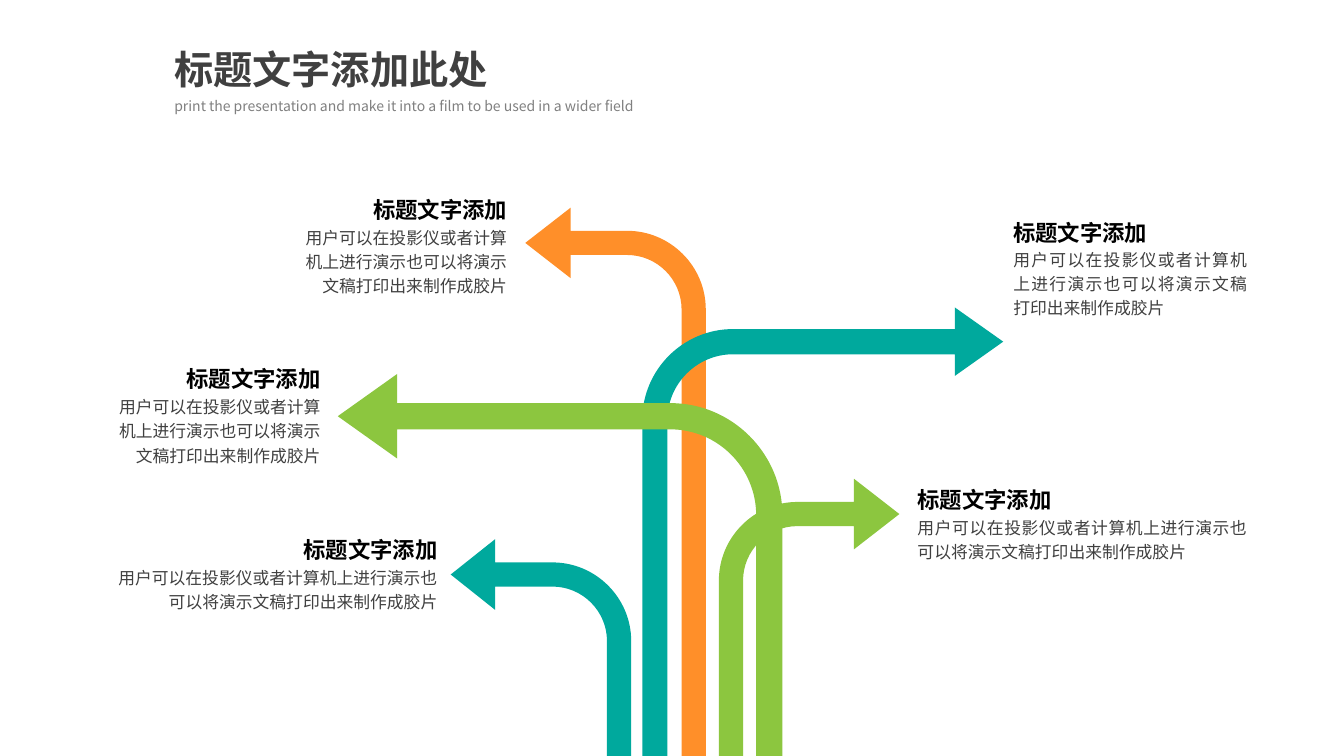
from lxml.etree import SubElement
from pptx import Presentation
from pptx.dml.color import RGBColor
from pptx.enum.text import MSO_AUTO_SIZE as AutoSize, PP_ALIGN as Align
from pptx.oxml.ns import qn
from pptx.util import Emu, Pt

PX = 9144
FONT = "Noto Sans CJK SC"
ORANGE, TEAL, GREEN = "FF8F29", "00A99D", "8CC63F"
BLACK, DARK, GRAY = "000000", "404040", "808080"
BOTTOM = 755
KAPPA = 0.55
HEADING = "标题文字添加"
BODY = "用户可以在投影仪或者计算机上进行演示也可以将演示文稿打印出来制作成胶片"

ARROWS = [
    (521, 241, 45, 35, 24, 700, 78, ORANGE),
    (447, 570, 44, 35, 24, 626, 78, TEAL),
    (995, 339, 48, 34, 25, 637, 90, TEAL),
    (335, 413, 59, 42, 26, 776, 111, GREEN),
    (892, 510, 45, 35, 24, 713, 78, GREEN),
]
CAPTIONS = [
    (905, 472, 337, 33, 62, Align.JUSTIFY),
    (1000, 207, 242, 32, 90, Align.JUSTIFY),
    (284, 184, 224, 33, 90, Align.RIGHT),
    (99, 352, 224, 33, 90, Align.RIGHT),
    (99, 522, 340, 32, 62, Align.RIGHT),
]


def px(n):
    """Turn px into EMU."""
    return Emu(round(n * PX))


def rgb(value):
    """Turn a hex string into a colour."""
    return RGBColor.from_string(value)


def add_text(group, box, text, size, color, bold=False, align=Align.LEFT, spacing=1.2):
    """Place one paragraph of text in a box."""
    tf = group.shapes.add_textbox(*map(px, box)).text_frame
    tf.word_wrap = True
    tf.auto_size = AutoSize.SHAPE_TO_FIT_TEXT
    tf.margin_left = tf.margin_right = tf.margin_top = tf.margin_bottom = px(5)
    tf.text = text
    p = tf.paragraphs[0]
    p.alignment = align
    p.line_spacing = spacing
    r = p.runs[0]
    r.font.name = FONT
    r.font.size = Pt(size)
    r.font.bold = bold
    r.font.color.rgb = rgb(color)
    SubElement(r.font._element, qn("a:ea")).set("typeface", FONT)


def add_title(s, x, y, w):
    """Place the slide title and its subtitle."""
    group = s.shapes.add_group_shape()
    add_text(group, (x, y, 360, 66), "标题文字添加此处", 28, DARK, True, spacing=1.0)
    add_text(group, (x, y + 49, w, 27),
             "print the presentation and make it into a film to be used in a wider field",
             10, GRAY)


def bend_lines(sp, first):
    """Merge three line segments, counted from first, into one cubic curve."""
    lines = list(sp._element.iter(qn("a:lnTo")))[first:first + 3]
    curve = lines[0].makeelement(qn("a:cubicBezTo"))
    lines[0].addprevious(curve)
    for line in lines:
        curve.append(line[0])
        line.getparent().remove(line)


def add_arrow(group, tip, y, head, half, thick, edge, radius, color):
    """Draw a stem that rises along its outer edge and bends to an arrowhead."""
    d = 1 if tip > edge else -1
    neck = tip - d * head
    cx, cy = edge + d * radius, y - thick / 2 + radius

    def arc(r):
        """List the ends and handles of a quarter turn from the top to the stem."""
        return [(cx, cy - r), (cx - d * r * KAPPA, cy - r),
                (cx - d * r, cy - r * KAPPA), (cx - d * r, cy)]

    points = [(neck, y - half), (tip, y), (neck, y + half), (neck, y + thick / 2),
              *arc(radius - thick), (edge + d * thick, BOTTOM), (edge, BOTTOM),
              *reversed(arc(radius)), (neck, y - thick / 2)]
    start, *rest = [(px(a), px(b)) for a, b in points]
    builder = group.shapes.build_freeform(*start)
    builder.add_line_segments(rest, close=True)
    sp = builder.convert_to_shape()
    bend_lines(sp, 10)
    bend_lines(sp, 4)
    sp.shadow.inherit = False
    sp.fill.solid()
    sp.fill.fore_color.rgb = rgb(color)
    sp.line.fill.background()


def add_arrows(s):
    """Draw all arrows in one group."""
    group = s.shapes.add_group_shape()
    for arrow in ARROWS:
        add_arrow(group, *arrow)


def add_caption(s, x, y, w, drop, body_h, align):
    """Place a heading over its body text, both on the aligned side."""
    group = s.shapes.add_group_shape()
    heading_w = 224
    heading_x = x + w - heading_w if align == Align.RIGHT else x
    add_text(group, (x, y + drop, w, body_h), BODY, 12, DARK, align=align)
    add_text(group, (heading_x, y, heading_w, 41), HEADING, 16, BLACK, True, align)


def main():
    """Build the slide and save it."""
    prs = Presentation()
    prs.slide_width, prs.slide_height = px(1333), px(750)
    s = prs.slides.add_slide(prs.slide_layouts[6])
    add_arrows(s)
    add_title(s, 168, 40, 534)
    for caption in CAPTIONS:
        add_caption(s, *caption)
    prs.save("out.pptx")


if __name__ == "__main__":
    main()
